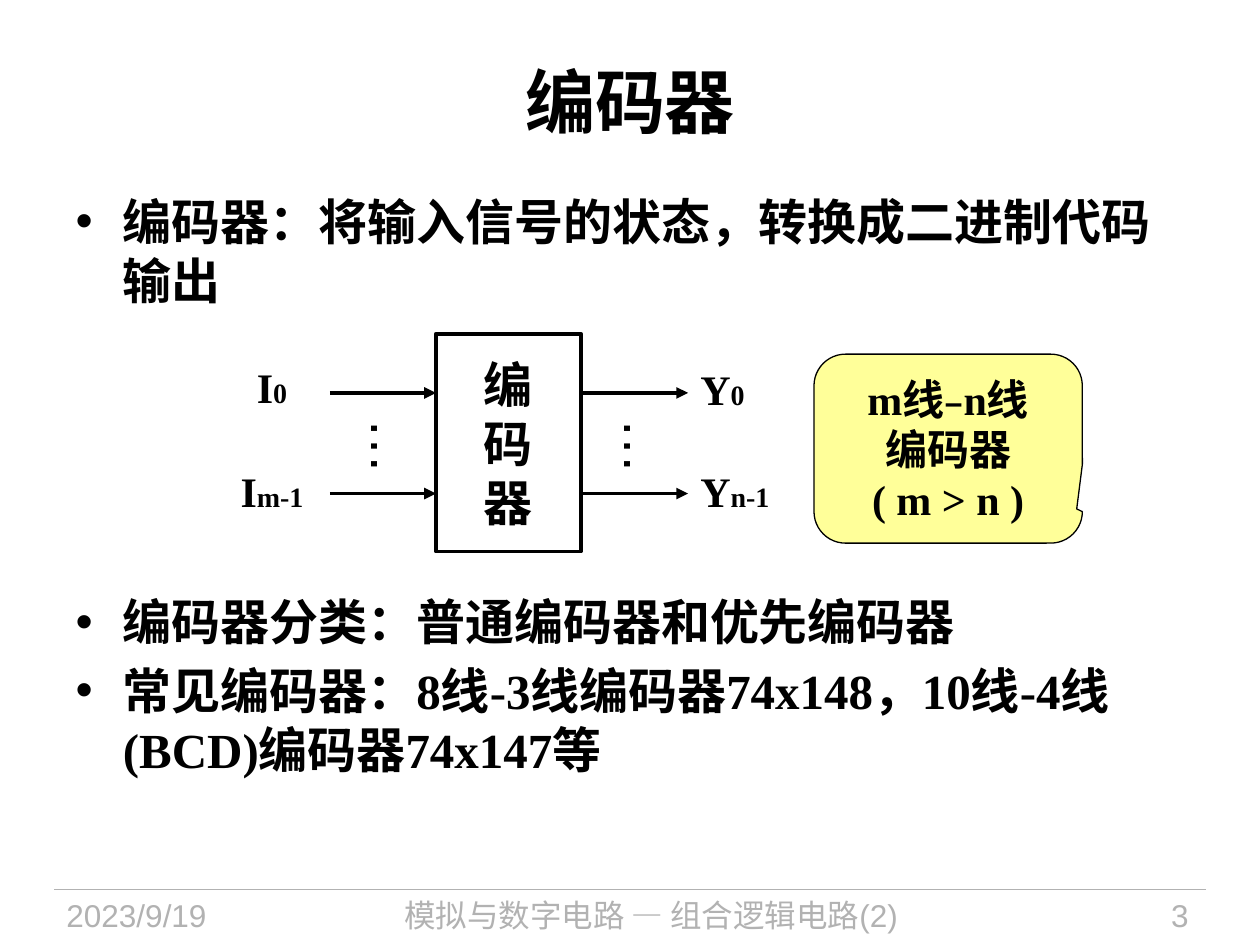
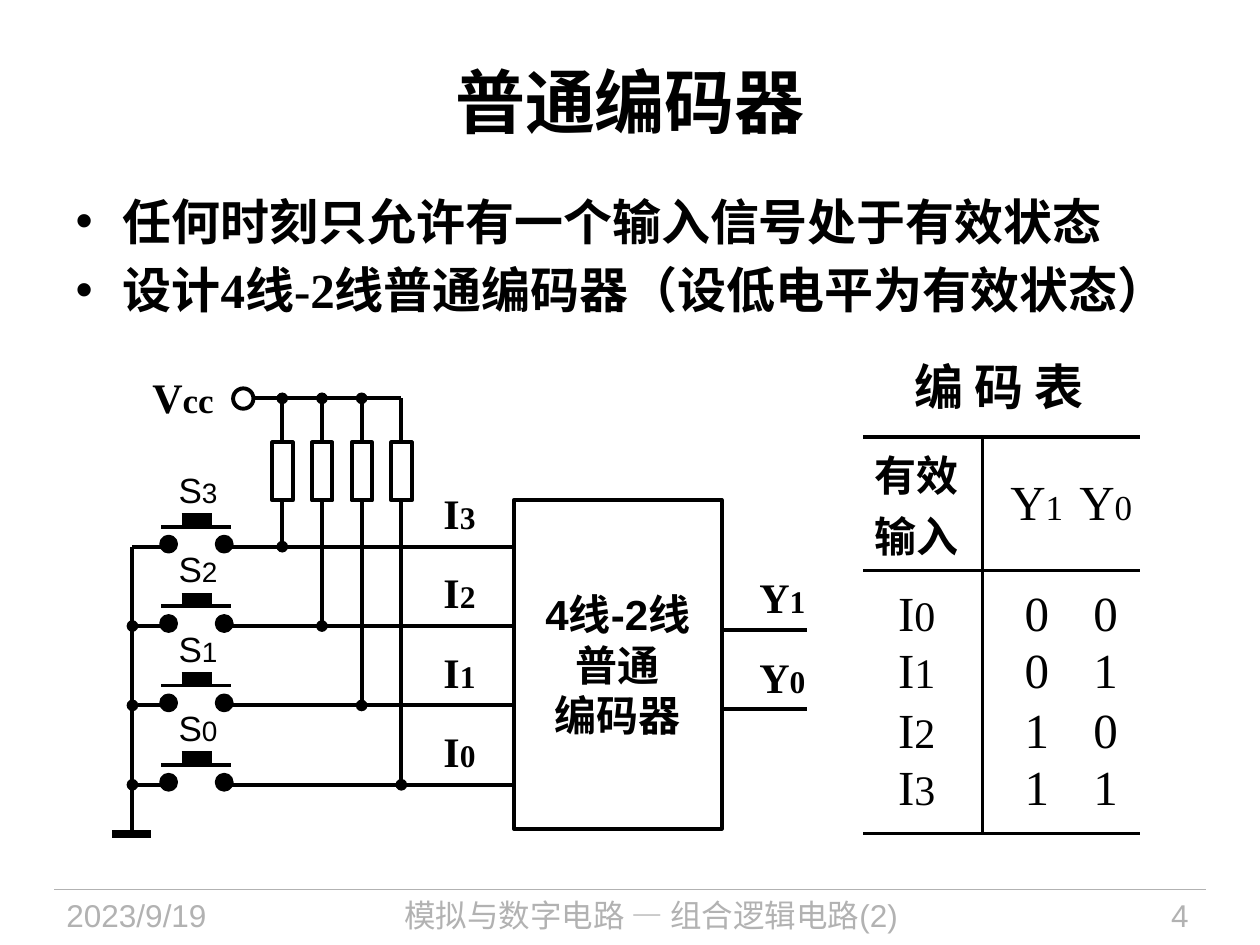
from dataclasses import dataclass
from typing import NamedTuple

from lxml.etree import SubElement
from pptx import Presentation
from pptx.dml.color import RGBColor
from pptx.enum.shapes import MSO_CONNECTOR as Link, MSO_SHAPE as Shape
from pptx.enum.text import MSO_ANCHOR as Anchor, MSO_AUTO_SIZE as AutoSize, PP_ALIGN as Align
from pptx.oxml import parse_xml
from pptx.oxml.ns import nsdecls, qn
from pptx.util import Cm, Pt

BLACK, GREY, WHITE, YELLOW = "000000", "B2B2B2", "FFFFFF", "FFFF99"
SANS, SERIF = "Arial", "Times New Roman"
THICK = 2.25
NO_STYLE = "{2D5ABB26-0587-4C30-8999-92F81FD0307C}"
DATE, COURSE = "2023/9/19", "模拟与数字电路 — 组合逻辑电路(2)"


class Box(NamedTuple):
    x: float
    y: float
    w: float
    h: float


@dataclass
class Run:
    text: str
    size: float
    font: str = SERIF
    bold: bool = True
    color: str = BLACK


@dataclass
class Wire:
    x1: float
    y1: float
    x2: float
    y2: float
    width: float = THICK
    color: str = BLACK
    head: str = ""
    tail: str = ""


@dataclass
class Label:
    box: Box
    runs: list[Run]
    align: Align = Align.LEFT


TITLE_BOX = Box(1.27, 0.43, 22.86, 3.18)
NO_MARGINS = dict.fromkeys(("margin_left", "margin_right", "margin_top", "margin_bottom"), 0)


def rgb(value: str) -> RGBColor:
    return RGBColor.from_string(value)


def cms(values) -> list[Cm]:
    return [Cm(v) for v in values]


def apply(obj, formats: dict) -> None:
    for name, value in formats.items():
        setattr(obj, name, value)


def write(tf, paragraphs: list[list[Run]], align: Align | None = None, **formats) -> None:
    for i, runs in enumerate(paragraphs):
        p = tf.add_paragraph() if i else tf.paragraphs[0]
        apply(p, {"alignment": align, **formats})
        for run in runs:
            r = p.add_run()
            r.text = run.text
            apply(r.font, {"size": Pt(run.size), "name": run.font, "bold": run.bold})
            r.font.color.rgb = rgb(run.color)


def indexed(name: str, index: str, size: float, small: float, **style) -> list[Run]:
    return [Run(name, size, **style), Run(index, small, **style)]


def add_label(slide, label: Label, **frame):
    sp = slide.shapes.add_textbox(*cms(label.box))
    apply(sp.text_frame, {"word_wrap": False, **frame})
    write(sp.text_frame, [label.runs], label.align)
    return sp


def add_block(slide, kind: Shape, box: Box, fill: str = "", width: float = THICK,
              paragraphs: list[list[Run]] | None = None):
    sp = slide.shapes.add_shape(kind, *cms(box))
    sp.shadow.inherit = False
    if fill:
        sp.fill.solid()
        sp.fill.fore_color.rgb = rgb(fill)
    else:
        sp.fill.background()
    sp.line.color.rgb = rgb(BLACK)
    sp.line.width = Pt(width)
    if paragraphs:
        apply(sp.text_frame, {"word_wrap": False, "vertical_anchor": Anchor.MIDDLE})
        write(sp.text_frame, paragraphs, Align.CENTER)
    return sp


def add_wire(slide, wire: Wire) -> None:
    c = slide.shapes.add_connector(Link.STRAIGHT, *cms((wire.x1, wire.y1, wire.x2, wire.y2)))
    c.line.color.rgb = rgb(wire.color)
    c.line.width = Pt(wire.width)
    sppr = c.element.spPr
    for tag, kind in (("a:headEnd", wire.head), ("a:tailEnd", wire.tail)):
        if kind:
            SubElement(sppr.find(qn("a:ln")), qn(tag), type=kind)
    SubElement(sppr, qn("a:effectLst"))


def add_page(prs, number: int, title: str, body_box: Box, bullets: list[str]):
    slide = prs.slides.add_slide(prs.slide_layouts[1])
    sp, body = slide.shapes.title, slide.placeholders[1]
    for holder, box in ((sp, TITLE_BOX), (body, body_box)):
        apply(holder, dict(zip(("left", "top", "width", "height"), cms(box))))
        holder.text_frame.auto_size = AutoSize.NONE
    sp.text_frame.vertical_anchor = Anchor.MIDDLE
    write(sp.text_frame, [[Run(title, 40, SANS)]], Align.CENTER)
    write(body.text_frame, [[Run(text, 28)] for text in bullets],
          space_before=Pt(0), space_after=Pt(5.6))
    add_wire(slide, Wire(1.09, 17.93, 24.31, 17.93, 0.75, GREY))
    for x, w, text, align in ((1.09, 4.78, DATE, Align.LEFT),
                              (6.32, 13.61, COURSE, Align.CENTER),
                              (20.83, 3.38, str(number), Align.RIGHT)):
        add_label(slide, Label(Box(x, 17.93, w, 1.12), [Run(text, 18, SANS, False, GREY)], align),
                  word_wrap=True)
    return slide


def build_encoder(prs) -> None:
    slide = add_page(prs, 3, "编码器", Box(1.27, 3.73, 22.73, 14.1), [
        "编码器：将输入信号的状态，转换成二进制代码输出",
        "编码器分类：普通编码器和优先编码器",
        "常见编码器：8线-3线编码器74x148，10线-4线(BCD)编码器74x147等",
    ])
    slide.placeholders[1].text_frame.paragraphs[1].space_before = Pt(156)

    callout = add_block(slide, Shape.ROUNDED_RECTANGULAR_CALLOUT, Box(16.41, 7.14, 5.41, 3.81),
                        YELLOW, 0.75, [[Run("m线", 24), Run("–", 20, SANS), Run("n线", 24)],
                                       [Run("编码器", 24)], [Run("( m > n )", 24)]])
    for i, value in enumerate((0.479, 0.319, 0.167)):
        callout.adjustments[i] = value

    add_block(slide, Shape.RECTANGLE, Box(8.79, 6.73, 2.92, 4.39),
              paragraphs=[[Run(char, 28, SANS)] for char in "编码器"])
    for y in (7.92, 9.95):
        for x1, x2 in ((6.65, 8.79), (11.71, 13.87)):
            add_wire(slide, Wire(x1, y, x2, y, tail="triangle"))
    for name, index, x, y, w in (("I", "0", 4.93, 7.16, 1.12), ("I", "m-1", 4.6, 9.25, 1.78),
                                 ("Y", "0", 13.87, 7.21, 1.4), ("Y", "n-1", 13.87, 9.25, 1.9)):
        add_label(slide, Label(Box(x, y, w, 1.27), indexed(name, index, 24, 16)))
    for x in (7.26, 12.37):
        dots = Label(Box(x, 8.43, 1.35, 1.12), [Run("…", 32, SANS, False)], Align.CENTER)
        sp = add_label(slide, dots, **NO_MARGINS)
        sp.element.txBody.bodyPr.set("vert", "eaVert")


def add_switch(slide, index: int, y: float, first: bool) -> None:
    left, right = 3.25, 4.65
    add_label(slide, Label(Box(3.35, y - 1.7, 1.3, 1.09),
                           indexed("S", str(index), 20, 16, font=SANS, bold=False)))
    for x in (left, right - 0.28):
        add_block(slide, Shape.OVAL, Box(x, y - 0.2, 0.3, 0.3), BLACK)
    for wire in (Wire(left, y - 0.4, right, y - 0.4),
                 Wire(3.66, y - 0.53, 4.27, y - 0.53, 8),
                 Wire(2.67, y, left, y, head="" if first else "oval"),
                 Wire(right, y, 10.36, y)):
        add_wire(slide, wire)


def add_border(cell, side: str) -> None:
    cell.fill.background()
    ln = parse_xml(f'<a:{side} {nsdecls("a")} w="{Pt(THICK)}"><a:solidFill>'
                   f'<a:srgbClr val="{BLACK}"/></a:solidFill></a:{side}>')
    cell.fill._xPr.insert(0, ln)


def add_code_table(slide) -> None:
    add_label(slide, Label(Box(18.19, 7.06, 3.99, 1.45), [Run("编 码 表", 28)]))
    widths, heights = (2.41, 1.78, 1.4), (2.69, 1.45, 1.2, 1.2, 1.45)
    anchors = (Anchor.MIDDLE, Anchor.BOTTOM, Anchor.MIDDLE, Anchor.MIDDLE, Anchor.TOP)
    frame = slide.shapes.add_table(len(heights), len(widths), *cms((17.4, 8.81, sum(widths), sum(heights))))
    frame.element.graphic.graphicData.tbl.tblPr[0].text = NO_STYLE
    table = frame.table
    apply(table, {"first_row": False, "horz_banding": False})
    for column, width in zip(table.columns, widths):
        column.width = Cm(width)

    plain = {"bold": False}
    rows = [[[[Run(text, 24, SANS)] for text in ("有效", "输入")],
             *([indexed("Y", i, 28, 20, **plain)] for i in "10")]]
    for n in range(4):
        rows.append([[indexed("I", str(n), 28, 24, **plain)],
                     *([[Run(bit, 28, **plain)]] for bit in f"{n:02b}")])
    for i, row in enumerate(rows):
        table.rows[i].height = Cm(heights[i])
        for j, paragraphs in enumerate(row):
            cell = table.cell(i, j)
            cell.fill.background()
            apply(cell, {**NO_MARGINS, "vertical_anchor": anchors[i],
                         "margin_right": Cm(0.25 if j == 0 else 0),
                         "margin_left": Cm(0.4 if j == 1 else 0)})
            write(cell.text_frame, paragraphs, Align.CENTER)
            if i in (0, len(rows) - 1):
                add_border(cell, "lnB")
            if i == 0:
                add_border(cell, "lnT")
            if j == 0:
                add_border(cell, "lnR")
                if i == 0:
                    ppr = cell.fill._xPr
                    ppr.insert(0, ppr.find(qn("a:lnR")))


def build_plain_encoder(prs) -> None:
    slide = add_page(prs, 4, "普通编码器", Box(1.27, 3.73, 22.86, 3.33), [
        "任何时刻只允许有一个输入信号处于有效状态",
        "设计4线-2线普通编码器（设低电平为有效状态）",
    ])
    row_top, row_step, rail, bus, ground = 11.02, 1.6, 8.03, 2.67, 16.81
    for i in range(4):
        y, x = row_top + row_step * i, 5.69 + 0.8 * i
        add_switch(slide, 3 - i, y, i == 0)
        add_wire(slide, Wire(x, y, x, rail, head="oval", tail="oval" if i < 3 else ""))
        add_block(slide, Shape.RECTANGLE, Box(x - 0.2, 8.92, 0.41, 1.17), WHITE)
        add_label(slide, Label(Box(8.69, y - 1.32, 1.17, 1.27), indexed("I", str(3 - i), 24, 18)))
    for wire in (Wire(8.09, rail, 5.11, rail), Wire(bus, row_top, bus, ground),
                 Wire(2.26, ground, 3.05, ground, 4.5)):
        add_wire(slide, wire)
    add_block(slide, Shape.OVAL, Box(4.7, 7.83, 0.41, 0.41))
    add_label(slide, Label(Box(3.07, 7.49, 1.24, 1.02), indexed("V", "cc", 24, 20), Align.CENTER),
              vertical_anchor=Anchor.MIDDLE, **NO_MARGINS)

    add_block(slide, Shape.RECTANGLE, Box(10.36, 10.08, 4.19, 6.63),
              paragraphs=[[Run(text, 24, SANS)] for text in ("4线-2线", "普通", "编码器")])
    for i in range(2):
        y = 12.7 + row_step * i
        add_wire(slide, Wire(14.55, y, 16.26, y))
        add_label(slide, Label(Box(15.06, y - 1.3, 1.45, 1.27), indexed("Y", str(1 - i), 24, 18)))
    add_code_table(slide)


def main() -> None:
    prs = Presentation()
    apply(prs, {"slide_width": Cm(25.4), "slide_height": Cm(19.05)})
    build_encoder(prs)
    build_plain_encoder(prs)
    prs.save("out.pptx")


if __name__ == "__main__":
    main()
